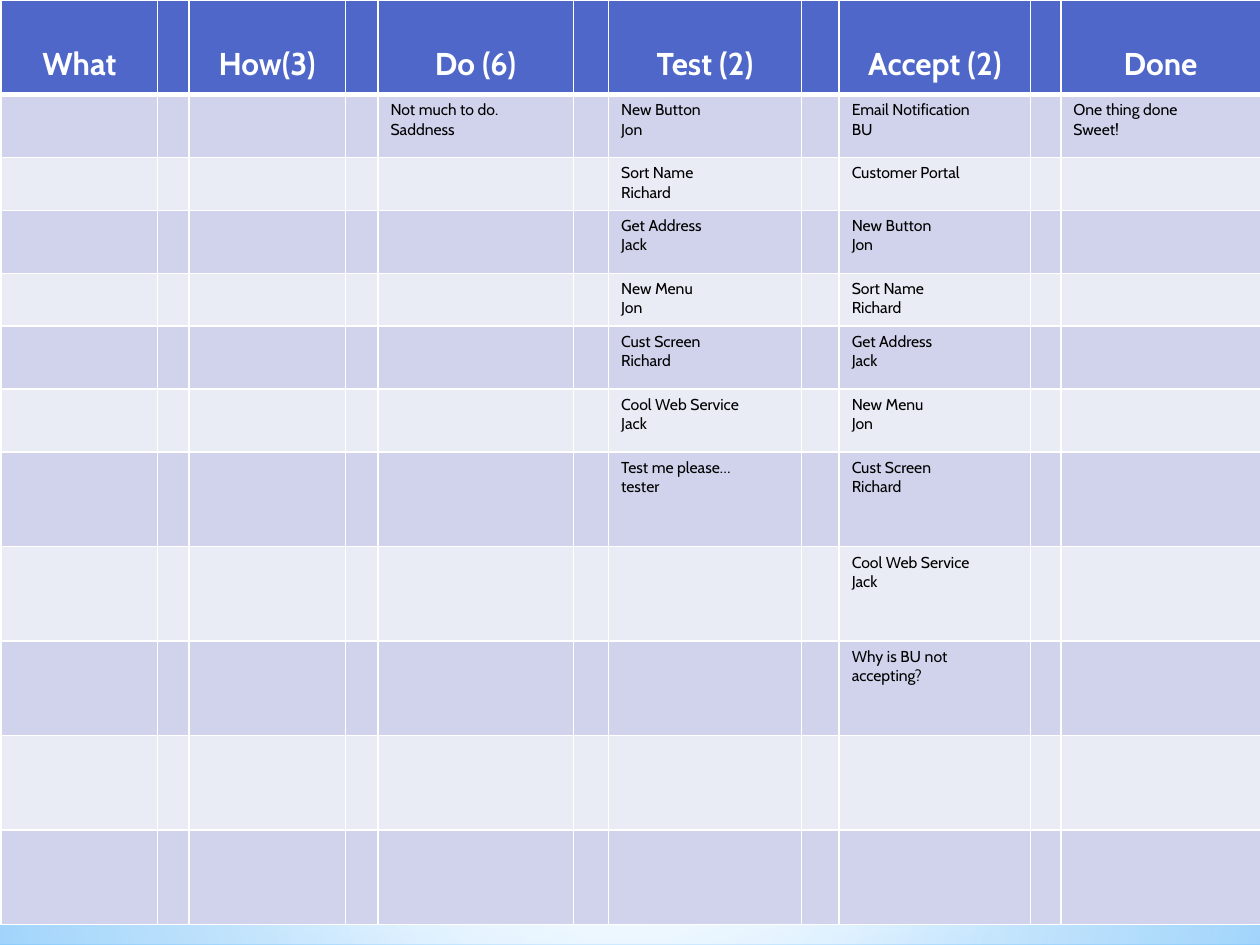
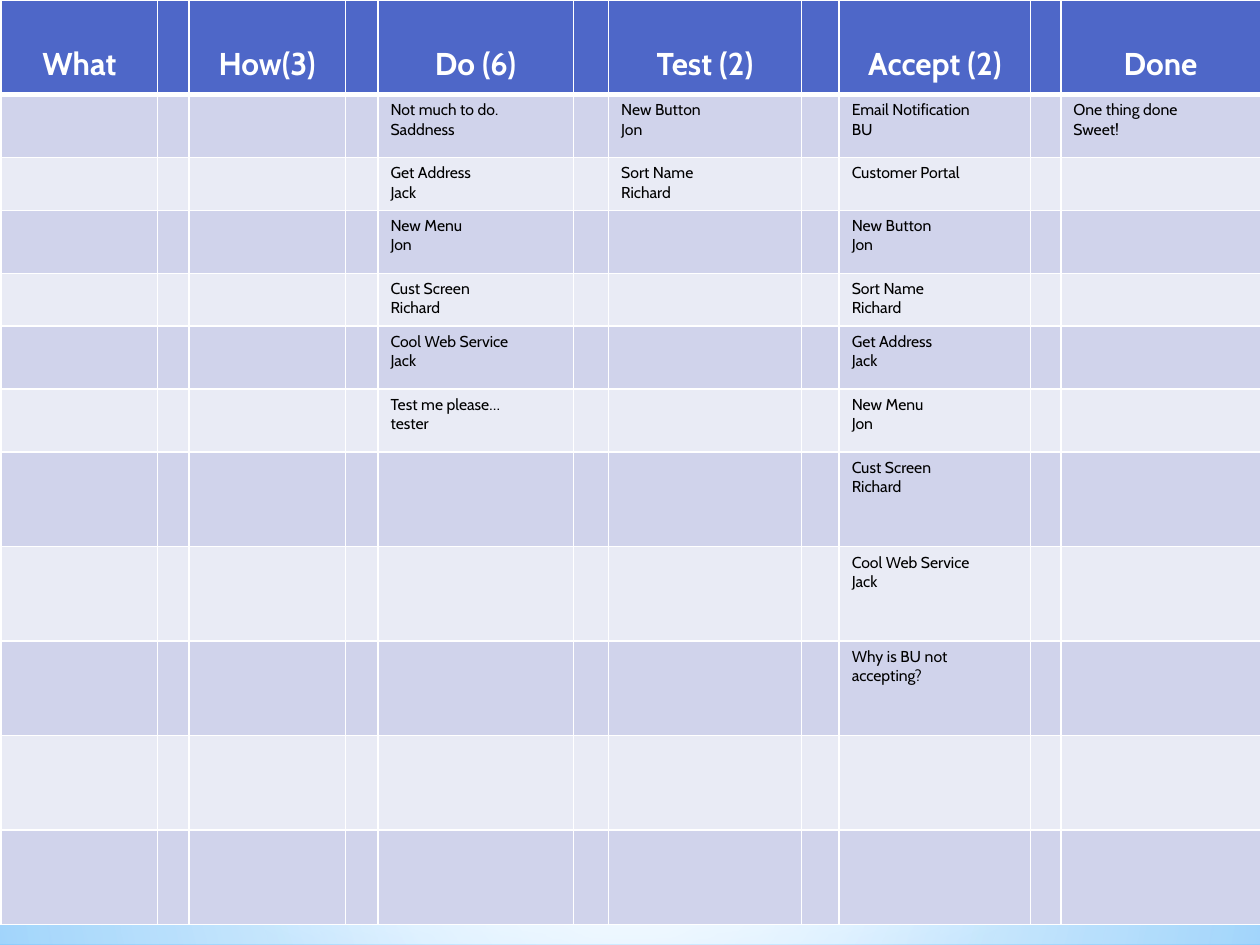
from dataclasses import dataclass

from lxml import etree
from pptx import Presentation
from pptx.dml.color import RGBColor
from pptx.enum.shapes import MSO_SHAPE
from pptx.enum.text import PP_ALIGN
from pptx.oxml import parse_xml
from pptx.oxml.ns import nsdecls, qn
from pptx.util import Pt


@dataclass(frozen=True)
class Theme:
    font: str = "Cabin"
    header_size: int = 18
    card_size: int = 9
    white: str = "FFFFFF"
    black: str = "000000"
    header: str = "4E67C8"
    band_dark: str = "D0D3EB"
    band_light: str = "E9EBF5"
    haze: str = "B4DCFA"
    sky: str = "9ED5FF"
    sky_deep: str = "5BB9FF"


T = Theme()


def set_gradient(fill, parent, stops, focus=None):
    """Stops are (position, colour, opacity); focus gives a circular gradient."""
    fill.solid()
    gs = "".join(
        f'<a:gs pos="{pos * 1000}"><a:srgbClr val="{color}">'
        f'<a:alpha val="{alpha * 1000}"/></a:srgbClr></a:gs>'
        for pos, color, alpha in stops)
    if focus:
        l, t, r, b = (v * 1000 for v in focus)
        shade = (f'<a:path path="circle"><a:fillToRect l="{l}" t="{t}" '
                 f'r="{r}" b="{b}"/></a:path>')
    else:
        shade = '<a:lin ang="5400000" scaled="0"/>'
    solid = next(parent.iter(qn("a:solidFill")))
    solid.getparent().replace(solid, parse_xml(
        f'<a:gradFill {nsdecls("a")} rotWithShape="1"><a:gsLst>{gs}</a:gsLst>{shade}</a:gradFill>'))


def set_borders(cell, bottom):
    tcPr = cell._tc.get_or_add_tcPr()
    for i, (side, width) in enumerate(
            (("lnL", 1), ("lnR", 1), ("lnT", 1), ("lnB", bottom))):
        ln = etree.Element(qn(f"a:{side}"), w=str(Pt(width)))
        color = etree.SubElement(ln, qn("a:solidFill"))
        etree.SubElement(color, qn("a:srgbClr"), val=T.white)
        tcPr.insert(i, ln)


prs = Presentation()
prs.slide_width, prs.slide_height = Pt(720), Pt(540)
blank = prs.slide_layouts[6]
slides = [prs.slides.add_slide(blank) for _ in range(2)]

# Shared background on the master
master = prs.slide_master
set_gradient(master.background.fill, master.element.cSld.find(qn("p:bg")),
             [(0, T.sky, 100), (60, T.white, 100), (100, T.sky_deep, 100)],
             (20, 10, 20, 60))

# Glow layers, drawn once and moved to the master
CENTER = (50, 50, 50, 50)
glows = [
    (MSO_SHAPE.RECTANGLE, 402, 138, CENTER,
     [(0, T.white, 91), (37, T.white, 76), (100, T.haze, 79)]),
    (MSO_SHAPE.RECTANGLE, 0, 402, CENTER,
     [(0, T.white, 89), (48, T.white, 62), (100, T.haze, 79)]),
    (MSO_SHAPE.RECTANGLE, 297, 180, None,
     [(0, T.white, 0), (29, T.white, 30), (45, T.haze, 40),
      (55, T.white, 26), (65, T.haze, 60), (100, T.white, 0)]),
    (MSO_SHAPE.OVAL, 126, 402, CENTER,
     [(0, T.white, 100), (56, T.white, 0)]),
]
for i, (kind, top, height, focus, stops) in enumerate(glows):
    sp = slides[0].shapes.add_shape(kind, 0, Pt(top), prs.slide_width, Pt(height))
    sp.shadow.inherit = False
    sp.line.fill.background()
    set_gradient(sp.fill, sp.element.spPr, stops, focus)
    sp.element.nvSpPr.cNvPr.id = 101 + i
    master.shapes._spTree.insert(2 + i, sp.element)

# Board grid: stages sit in the even columns, narrow gaps in the odd ones
stages = ["What", "How(3)", "Do (6)", "Test (2)", "Accept (2)", "Done"]
col_widths = [89.3, 18, 89.3, 18.7, 111.6, 20.2, 110.2, 21.6, 109.4, 16.6, 114]
row_heights = [54, 36, 30.2, 36, 30.2, 36, 36] + [54] * 5

# Cards, top to bottom in each stage
todo = "Not much to do.\nSaddness"
flow = ["New Button\nJon", "Sort Name\nRichard", "Get Address\nJack",
        "New Menu\nJon", "Cust Screen\nRichard", "Cool Web Service\nJack"]
tester = "Test me please…\ntester"
shared = {
    "Accept (2)": ["Email Notification\nBU", "Customer Portal", *flow,
                   "Why is BU not accepting?"],
    "Done": ["One thing done\nSweet!"],
}
boards = [
    {"Do (6)": [todo], "Test (2)": [*flow, tester], **shared},
    {"Do (6)": [todo, *flow[2:], tester], "Test (2)": flow[:2], **shared},
]

# One board per slide
for s, board in zip(slides, boards):
    table = s.shapes.add_table(len(row_heights), len(col_widths), Pt(0.7), 0,
                               Pt(sum(col_widths)), Pt(sum(row_heights))).table
    for col, width in zip(table.columns, col_widths):
        col.width = Pt(width)
    for row, height in zip(table.rows, row_heights):
        row.height = Pt(height)

    # Text
    for i, stage in enumerate(stages):
        for r, text in enumerate([stage] + board.get(stage, [])):
            table.cell(r, 2 * i).text = text

    # Fills, borders and type
    for r, row in enumerate(table.rows):
        is_header = r == 0
        band = T.header if is_header else (T.band_light, T.band_dark)[r % 2]
        for cell in row.cells:
            cell.fill.solid()
            cell.fill.fore_color.rgb = RGBColor.from_string(band)
            set_borders(cell, 3 if is_header else 1)
            if is_header:
                cell.margin_top = Pt(25.5)
            for p in cell.text_frame.paragraphs:
                p.alignment = PP_ALIGN.CENTER if is_header else PP_ALIGN.LEFT
                p.font.name = T.font
                p.font.size = Pt(T.header_size if is_header else T.card_size)
                p.font.bold = is_header
                p.font.color.rgb = RGBColor.from_string(T.white if is_header else T.black)

prs.save("out.pptx")
